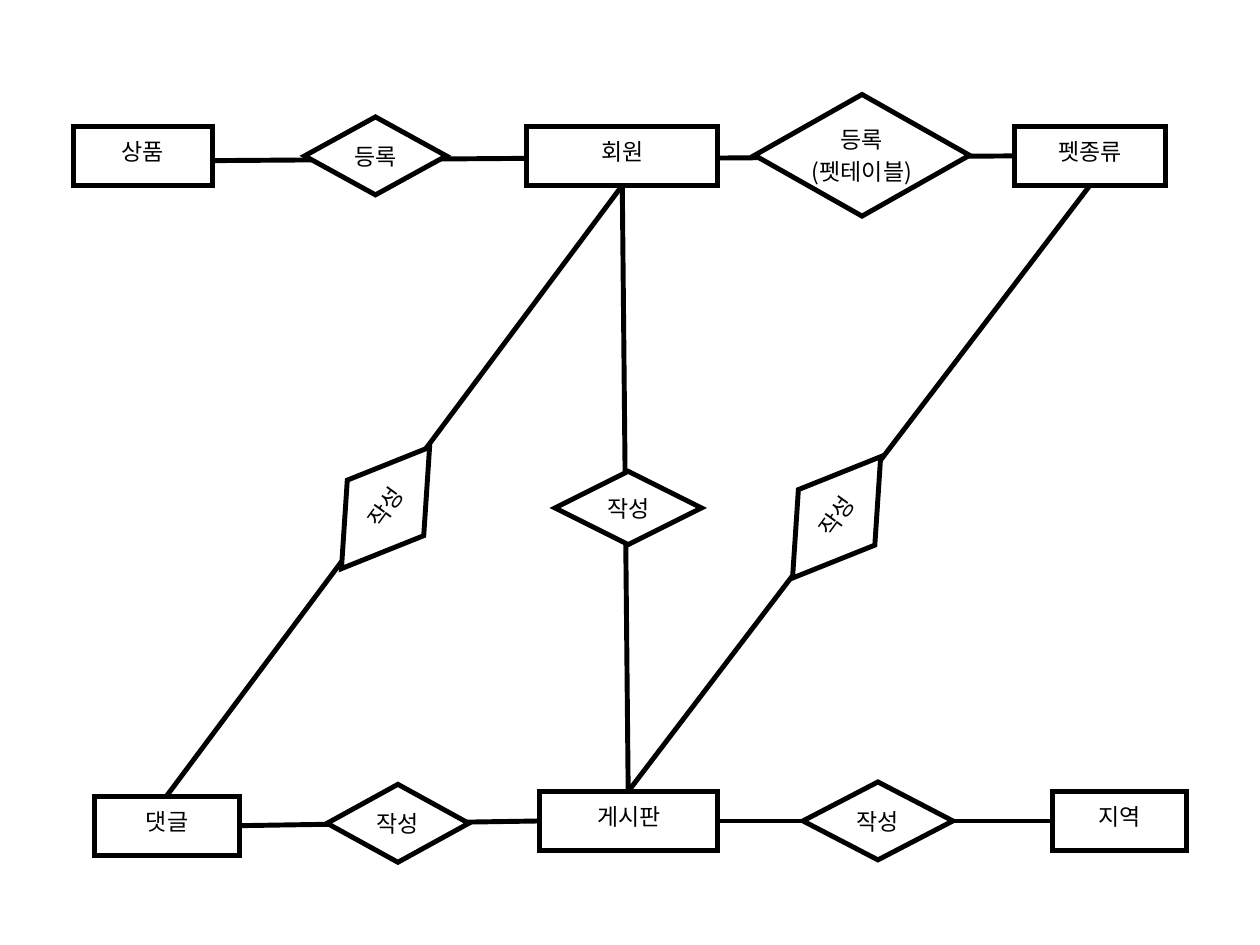
from lxml.etree import SubElement
from pptx import Presentation
from pptx.dml.color import RGBColor
from pptx.enum.shapes import MSO_CONNECTOR as Connector, MSO_SHAPE as Shape
from pptx.enum.text import MSO_ANCHOR as Anchor, PP_ALIGN as Align
from pptx.oxml.ns import qn
from pptx.util import Inches, Pt

COLORS = {"ink": "000000", "paper": "FFFFFF"}
FONT = "Noto Sans CJK KR"
LINE_WIDTH = Pt(3)
ENTITY_HEIGHT = 0.5

ENTITIES = [
    ("상품", 0.62, 1.07, 1.18),
    ("회원", 4.46, 1.07, 1.62),
    ("펫종류", 8.59, 1.07, 1.28),
    ("댓글", 0.8, 6.74, 1.23),
    ("게시판", 4.57, 6.7, 1.51),
    ("지역", 8.91, 6.7, 1.14),
]
RELATIONS = [
    ("등록", 2.58, 0.99, 1.2, 0.66, 0),
    ("등록\n(펫테이블)", 6.39, 0.8, 1.82, 1.03, 0),
    ("작성", 2.63, 3.9, 1.27, 0.8, 306),
    ("작성", 4.7, 3.99, 1.24, 0.62, 0),
    ("작성", 6.45, 3.98, 1.27, 0.8, 306),
    ("작성", 2.77, 6.64, 1.2, 0.66, 0),
    ("작성", 6.8, 6.62, 1.27, 0.66, 0),
]
MEMBER_FOOT = (5.27, 1.57)
BOARD_TOP = (5.32, 6.7)
LINKS = [
    ((1.8, 1.36), (4.57, 1.34)),
    ((5.82, 1.34), (8.59, 1.32)),
    ((1.41, 6.74), MEMBER_FOOT),
    (BOARD_TOP, MEMBER_FOOT),
    (BOARD_TOP, (9.23, 1.57)),
    ((2.03, 6.99), (4.57, 6.95)),
    ((6.08, 6.95), (8.91, 6.95)),
]


def color(name):
    """Return the named colour."""
    return RGBColor.from_string(COLORS[name])


def add_outline(page, kind, left, top, width, height, rotation=0):
    """Place a white shape with a sharp black outline."""
    shape = page.shapes.add_shape(
        kind, Inches(left), Inches(top), Inches(width), Inches(height))
    shape.rotation = rotation
    shape.shadow.inherit = False
    shape.fill.solid()
    shape.fill.fore_color.rgb = color("paper")
    shape.line.color.rgb = color("ink")
    shape.line.width = LINE_WIDTH
    SubElement(shape.line._get_or_add_ln(), qn("a:miter"), lim="800000")


def add_label(page, text, left, top, width, height, rotation=0):
    """Place centred text in the given box."""
    box = page.shapes.add_textbox(
        Inches(left), Inches(top), Inches(width), Inches(height))
    box.rotation = rotation
    frame = box.text_frame
    frame.word_wrap = True
    frame.vertical_anchor = Anchor.MIDDLE
    frame.margin_left = frame.margin_right = Inches(0.06)
    frame.margin_top = frame.margin_bottom = Inches(0.06)
    frame.text = text
    for para in frame.paragraphs:
        para.alignment = Align.CENTER
        para.line_spacing = Pt(19.6)
        for span in para.runs:
            span.font.size = Pt(14)
            span.font.color.rgb = color("ink")
            span.font.name = FONT
            SubElement(span.font._element, qn("a:ea"), typeface=FONT)


def add_entity(page, text, left, top, width):
    """Place an entity rectangle and its label, raised a little."""
    add_outline(page, Shape.RECTANGLE, left, top, width, ENTITY_HEIGHT)
    add_label(page, text, left, top - 0.11, width, ENTITY_HEIGHT + 0.11)


def add_relation(page, text, left, top, width, height, rotation):
    """Place a relation diamond and its label in the middle."""
    add_outline(page, Shape.DIAMOND, left, top, width, height, rotation)
    label_width, label_height = width * 0.66, height * 0.71
    shift = 0.02 if rotation else 0
    add_label(page, text, left + (width - label_width) / 2 - shift,
              top + (height - label_height) / 2 - 0.02,
              label_width, label_height, rotation)


def add_link(page, start, end):
    """Draw a straight line between two points."""
    link = page.shapes.add_connector(
        Connector.STRAIGHT, *(Inches(value) for value in start + end))
    link.line.color.rgb = color("ink")
    link.line.width = LINE_WIDTH
    SubElement(link._element.spPr, qn("a:effectLst"))


def main():
    """Build the entity relationship diagram."""
    deck = Presentation()
    deck.slide_width, deck.slide_height = Inches(10.67), Inches(8)
    page = deck.slides.add_slide(deck.slide_layouts[6])
    for link in LINKS:
        add_link(page, *link)
    for entity in ENTITIES:
        add_entity(page, *entity)
    for relation in RELATIONS:
        add_relation(page, *relation)
    deck.save("out.pptx")


if __name__ == "__main__":
    main()
